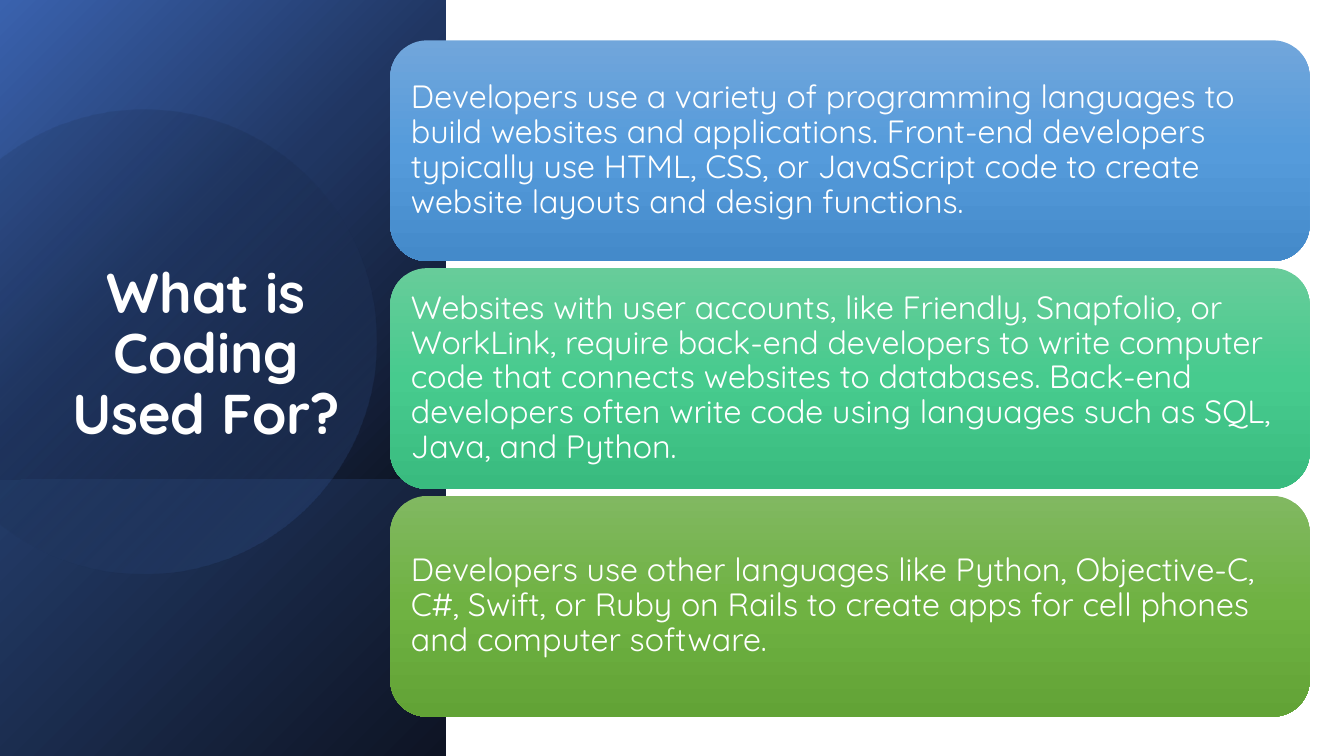
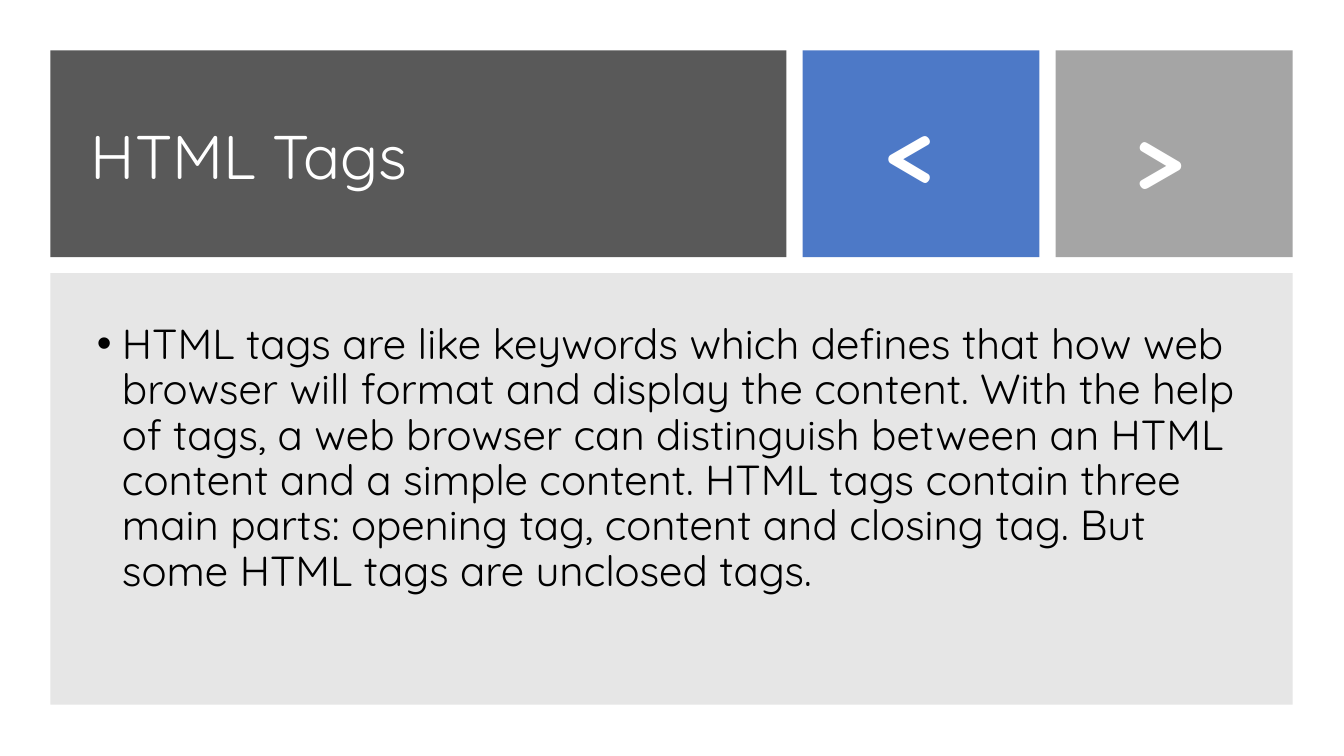
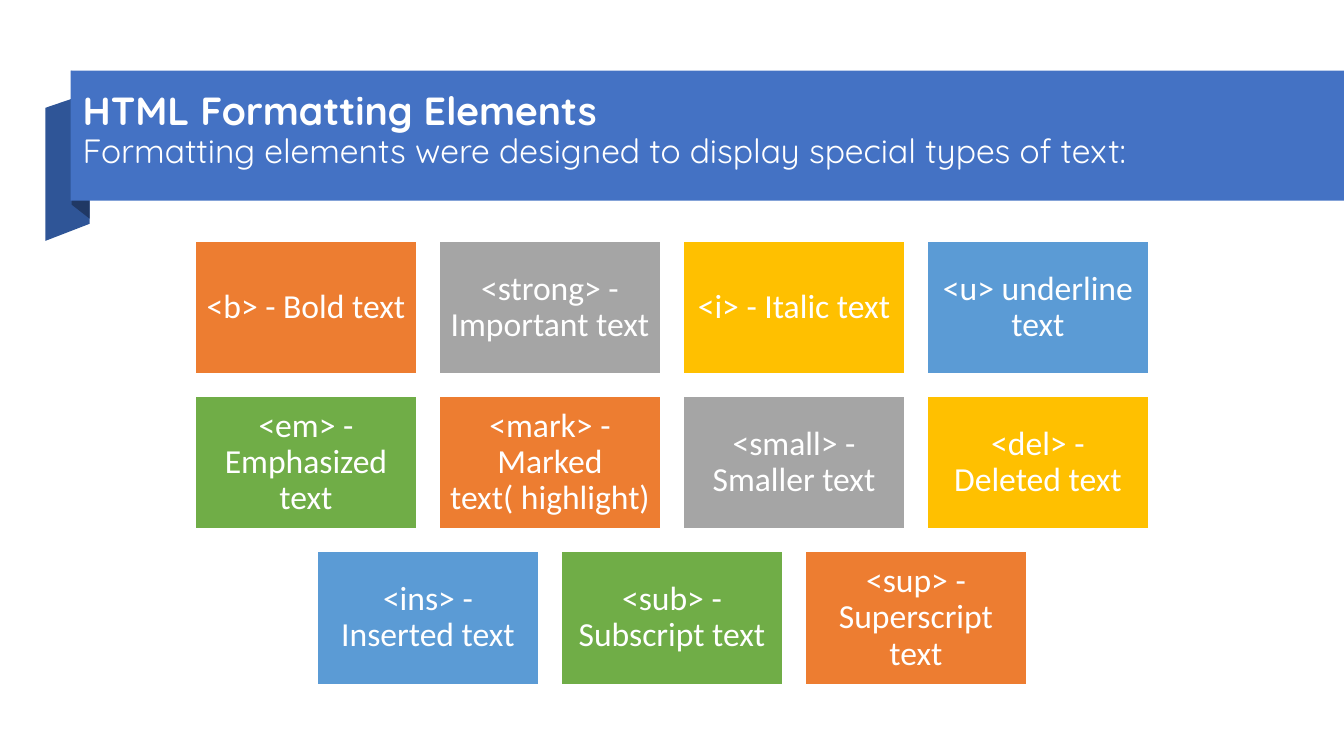
from itertools import cycle
from math import acos, cos, sin

from pptx import Presentation
from pptx.dml.color import RGBColor
from pptx.enum.shapes import MSO_SHAPE
from pptx.enum.text import MSO_ANCHOR, MSO_AUTO_SIZE, PP_ALIGN
from pptx.oxml import parse_xml
from pptx.oxml.ns import nsdecls, qn
from pptx.util import Inches, Pt

RECT, ROUND_RECT = MSO_SHAPE.RECTANGLE, MSO_SHAPE.ROUNDED_RECTANGLE
MIDDLE, BOTTOM = MSO_ANCHOR.MIDDLE, MSO_ANCHOR.BOTTOM
LEFT, CENTER = PP_ALIGN.LEFT, PP_ALIGN.CENTER

WHITE = RGBColor(0xFF, 0xFF, 0xFF)
BLACK = RGBColor(0x00, 0x00, 0x00)
CHARCOAL = RGBColor(0x59, 0x59, 0x59)
PALE_GRAY = RGBColor(0xE6, 0xE6, 0xE6)
BLUE = RGBColor(0x44, 0x72, 0xC4)
SOFT_BLUE = RGBColor(0x4D, 0x79, 0xC7)
DARK_BLUE = RGBColor(0x2F, 0x55, 0x97)
DEEP_BLUE = RGBColor(0x20, 0x38, 0x64)
ORANGE = RGBColor(0xED, 0x7D, 0x31)
GRAY = RGBColor(0xA5, 0xA5, 0xA5)
GOLD = RGBColor(0xFF, 0xC0, 0x00)
SKY = RGBColor(0x5B, 0x9B, 0xD5)
GREEN = RGBColor(0x70, 0xAD, 0x47)
ACCENTS = (ORANGE, GRAY, GOLD, SKY, GREEN)

# Gradient stops: position in percent, colour, opacity in percent
PANEL_TOP = ((0, RGBColor(0x3A, 0x62, 0xAE), 100),
             (50, RGBColor(0x20, 0x36, 0x62), 100),
             (100, RGBColor(0x0D, 0x13, 0x22), 100))
PANEL_FOOT = ((0, RGBColor(0x23, 0x3C, 0x69), 100),
              (100, RGBColor(0x0E, 0x14, 0x24), 100))
PANEL_DISC = ((20, BLACK, 8), (100, BLUE, 28))
CARD_BLUE = ((0, RGBColor(0x71, 0xA6, 0xDB), 100),
             (50, RGBColor(0x55, 0x9B, 0xDB), 100),
             (100, RGBColor(0x44, 0x8A, 0xCA), 100))
CARD_TEAL = ((0, RGBColor(0x67, 0xCC, 0x9A), 100),
             (50, RGBColor(0x47, 0xCB, 0x8E), 100),
             (100, RGBColor(0x39, 0xBB, 0x7F), 100))
CARD_GREEN = ((0, RGBColor(0x81, 0xB8, 0x61), 100),
              (50, RGBColor(0x6F, 0xB2, 0x42), 100),
              (100, RGBColor(0x62, 0xA3, 0x36), 100))

SLIDE_WIDTH, SLIDE_HEIGHT = 13.33, 7.5
TITLE_AND_BODY, TITLE_ONLY = 1, 5
TITLE_FONT, TILE_FONT = "Quicksand", "Calibri"
EVEN_INSETS = (0.1, 0.1, 0.1, 0.1)

USES = (
    (CARD_BLUE, "Developers use a variety of programming languages to build "
     "websites and applications. Front-end developers typically use HTML, CSS, "
     "or JavaScript code to create website layouts and design functions."),
    (CARD_TEAL, "Websites with user accounts, like Friendly, Snapfolio, or "
     "WorkLink, require back-end developers to write computer code that connects "
     "websites to databases. Back-end developers often write code using languages "
     "such as SQL, Java, and Python."),
    (CARD_GREEN, "Developers use other languages like Python, Objective-C, C#, "
     "Swift, or Ruby on Rails to create apps for cell phones and computer software."),
)
TAGS_TEXT = (
    "HTML tags are like keywords which defines that how web browser will format "
    "and display the content. With the help of tags, a web browser can distinguish "
    "between an HTML content and a simple content. HTML tags contain three main "
    "parts: opening tag, content and closing tag. But some HTML tags are unclosed "
    "tags.")
ELEMENT_ROWS = (
    ("<b> - Bold text", "<strong> - Important text", "<i> - Italic text",
     "<u> underline text"),
    ("<em> - Emphasized text", "<mark> - Marked text( highlight)",
     "<small> - Smaller text", "<del> - Deleted text"),
    ("<ins> - Inserted text", "<sub> - Subscript text", "<sup> - Superscript text"),
)


def paint(shape, fill, angle=45):
    """Fill with one colour, or with gradient stops; angle is clockwise."""
    if isinstance(fill, RGBColor):
        shape.fill.solid()
        shape.fill.fore_color.rgb = fill
        return
    stops = "".join(
        f'<a:gs pos="{position * 1000}"><a:srgbClr val="{color}">'
        f'<a:alpha val="{opacity * 1000}"/></a:srgbClr></a:gs>'
        for position, color, opacity in fill)
    gradient = parse_xml(
        f'<a:gradFill {nsdecls("a")} rotWithShape="1"><a:gsLst>{stops}</a:gsLst>'
        f'<a:lin ang="{angle * 60000}" scaled="0"/></a:gradFill>')
    shape.fill.background()
    properties = shape.element.spPr
    properties.replace(properties.find(qn("a:noFill")), gradient)


def place(shape, box):
    shape.left, shape.top, shape.width, shape.height = map(Inches, box)


def add_box(slide, box, fill, kind=RECT, angle=45, line=None):
    shape = slide.shapes.add_shape(kind, *map(Inches, box))
    shape.shadow.inherit = False
    paint(shape, fill, angle)
    if line is None:
        shape.line.fill.background()
    else:
        shape.line.color.rgb = line
        shape.line.width = Pt(1)
    return shape


def add_outline(slide, points, fill):
    corners = [(Inches(x), Inches(y)) for x, y in points]
    builder = slide.shapes.build_freeform(*corners[0])
    builder.add_line_segments(corners[1:], close=True)
    shape = builder.convert_to_shape()
    shape.shadow.inherit = False
    paint(shape, fill)
    shape.line.fill.background()


def write(shape, *lines, size, font=TITLE_FONT, color=WHITE, bold=False,
          align=LEFT, anchor=MIDDLE, insets=(0.1, 0.05, 0.1, 0.05), before=0):
    """Set one paragraph per line; a line is text or (text, size, bold)."""
    frame = shape.text_frame
    frame.word_wrap = True
    frame.auto_size = MSO_AUTO_SIZE.NONE
    frame.vertical_anchor = anchor
    (frame.margin_left, frame.margin_top,
     frame.margin_right, frame.margin_bottom) = map(Inches, insets)
    for index, line in enumerate(lines):
        text, line_size, line_bold = (line, size, bold) if isinstance(line, str) else line
        para = frame.add_paragraph() if index else frame.paragraphs[0]
        para.alignment = align
        para.line_spacing = 0.9
        para.space_before = Pt(before)
        span = para.add_run()
        span.text = text
        span.font.size = Pt(line_size)
        span.font.name = font
        span.font.bold = line_bold
        span.font.color.rgb = color


def add_title(slide, box, *lines, fill=None, **style):
    """Place the title placeholder in front of everything drawn so far."""
    title = slide.shapes.title
    slide.shapes.element.append(title.element)
    place(title, box)
    if fill is not None:
        paint(title, fill)
    write(title, *lines, **style)


def side_panel(slide, left, top, width, height):
    foot = 2.74
    add_box(slide, (left, top, width, height - foot), PANEL_TOP)
    add_box(slide, (left, top + height - foot, width, foot), PANEL_FOOT)
    center_x, center_y, radius, steps = left + 1.43, top + 3.39, 2.3, 120
    reach = acos((left - center_x) / radius)
    angles = [reach * (2 * step / steps - 1) for step in range(steps + 1)]
    add_outline(slide, [(center_x + radius * cos(angle), center_y + radius * sin(angle))
                        for angle in angles], PANEL_DISC)


def card_stack(slide, left, top, width, height, cards):
    gap = 0.07
    card_height = (height - gap * (len(cards) - 1)) / len(cards)
    for index, (fill, text) in enumerate(cards):
        box = (left, top + index * (card_height + gap), width, card_height)
        card = add_box(slide, box, fill, kind=ROUND_RECT, angle=90)
        write(card, text, size=23, insets=EVEN_INSETS)


def ribbon_fold(slide, left, top, height):
    """Draw the folded ribbon end that sits behind the banner's left edge."""
    right = left + 0.44
    add_outline(slide, [(right, top + height - 0.17), (left, top + height),
                        (left, top + 0.15), (right, top)], DARK_BLUE)
    add_outline(slide, [(right, top + height - 0.22), (left + 0.26, top + height - 0.36),
                        (left + 0.26, top - 0.22), (right, top - 0.07)], DEEP_BLUE)


def tile_grid(slide, left, top, width, rows):
    """Lay out rows of equal tiles, each row centred in the width."""
    tile_width, tile_height, gap = 2.2, 1.32, 0.22
    fills = cycle(ACCENTS)
    for row, labels in enumerate(rows):
        row_width = len(labels) * (tile_width + gap) - gap
        row_left = left + (width - row_width) / 2
        for column, label in enumerate(labels):
            box = (row_left + column * (tile_width + gap),
                   top + row * (tile_height + gap), tile_width, tile_height)
            tile = add_box(slide, box, next(fills), line=WHITE)
            write(tile, label, size=24, font=TILE_FONT, align=CENTER,
                  insets=EVEN_INSETS)


def uses_slide(slide):
    side_panel(slide, 0, 0, 4.42, SLIDE_HEIGHT)
    add_title(slide, (0.34, 1.86, 3.41, 2.62), "What is Coding Used For?",
              size=40, bold=True, align=CENTER, anchor=BOTTOM)
    card_stack(slide, 3.87, 0.4, 9.12, 6.71, USES)


def tags_slide(slide):
    left, top, header_height, gap = 0.5, 0.5, 2.05, 0.16
    title_width, tile_width = 7.3, 2.35
    add_title(slide, (left, top, title_width, header_height), "HTML Tags",
              fill=CHARCOAL, size=44, insets=(0.4, 0.16, 0.1, 0.05))
    symbols = (("<", SOFT_BLUE, (0.83, 0.05, 0.1, 0.05)),
               (">", GRAY, (0.79, 0.12, 0.1, 0)))
    tile_left = left + title_width + gap
    for symbol, fill, insets in symbols:
        tile = add_box(slide, (tile_left, top, tile_width, header_height), fill)
        write(tile, symbol, size=66, bold=True, insets=insets)
        tile_left += tile_width + gap
    body = slide.placeholders[1]
    place(body, (left, top + header_height + gap, 12.32, 4.28))
    paint(body, PALE_GRAY)
    write(body, TAGS_TEXT, size=30, color=BLACK, before=10,
          insets=(0.46, 0.05, 0.47, 0.64))
    bullet = body.text_frame.paragraphs[0]._p.get_or_add_pPr()
    bullet.set("marL", str(Inches(0.25)))
    bullet.set("indent", str(-Inches(0.25)))


def elements_slide(slide):
    ribbon_fold(slide, 0.45, 0.92, 1.47)
    add_title(slide, (0.7, 0.7, SLIDE_WIDTH - 0.7, 1.29),
              ("HTML Formatting Elements", 28, True),
              "Formatting elements were designed to display special types of text:",
              fill=BLUE, size=24, insets=(0.12, 0.05, 0.1, 0.14))
    tile_grid(slide, 0, 2.39, SLIDE_WIDTH, ELEMENT_ROWS)


def main():
    deck = Presentation()
    deck.slide_width = Inches(SLIDE_WIDTH)
    deck.slide_height = Inches(SLIDE_HEIGHT)
    pages = ((uses_slide, TITLE_ONLY), (tags_slide, TITLE_AND_BODY),
             (elements_slide, TITLE_ONLY))
    for build, layout in pages:
        build(deck.slides.add_slide(deck.slide_layouts[layout]))
    deck.save("out.pptx")


if __name__ == "__main__":
    main()
